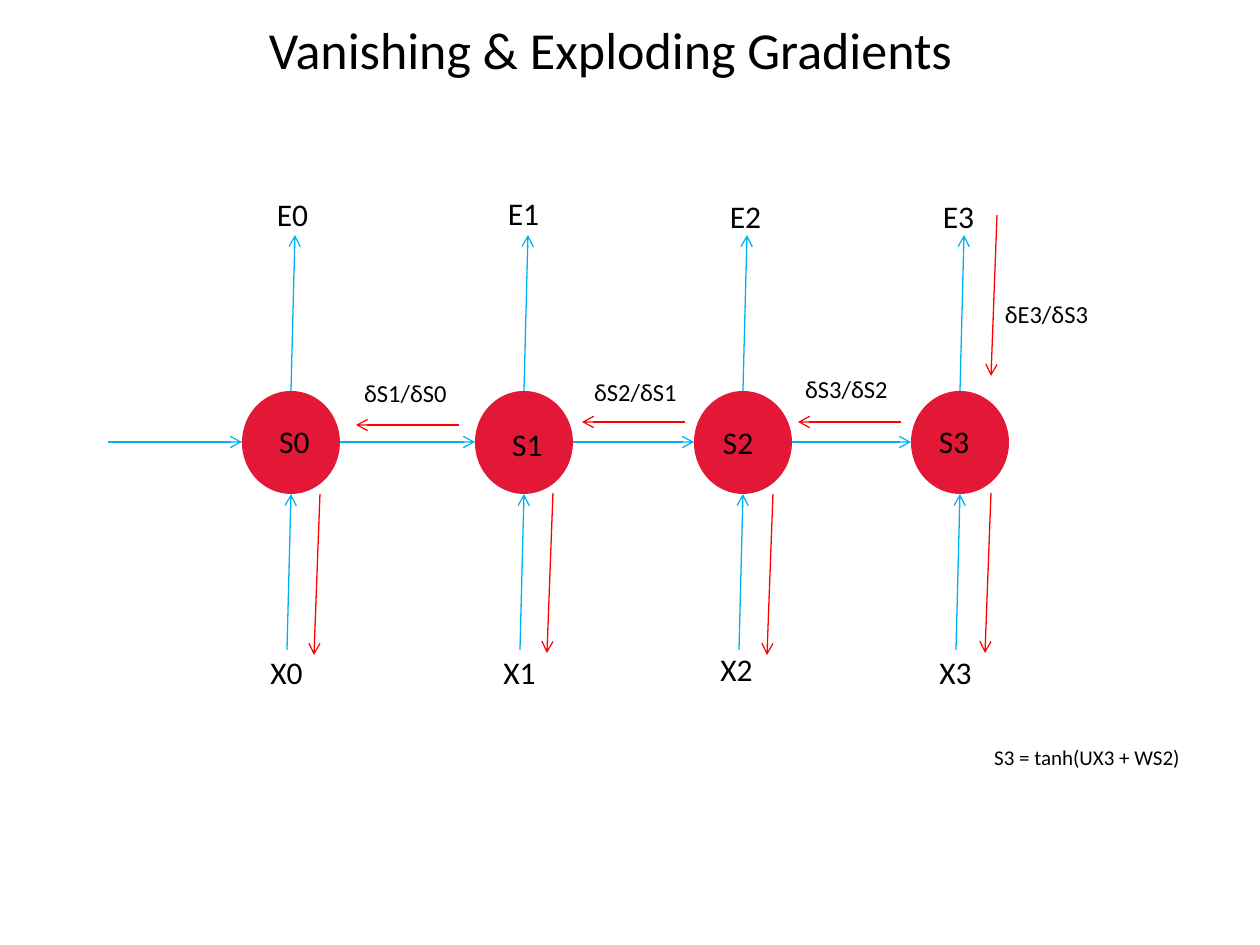
"""Build the vanishing and exploding gradients slide."""
from pptx import Presentation
from pptx.dml.color import RGBColor
from pptx.enum.shapes import MSO_CONNECTOR as CONN, MSO_SHAPE as SHAPE
from pptx.enum.text import MSO_ANCHOR as ANCHOR, PP_ALIGN as ALIGN
from pptx.oxml import parse_xml
from pptx.oxml.ns import nsdecls
from pptx.util import Pt

SCALE = 914400 / 126
BLUE, RED, CRIMSON, BLACK = "00B0F0", "FF0000", "E31837", "000000"
rgb = RGBColor.from_string


def add_text(text, x, y, w, h, size, align=ALIGN.CENTER, top=0):
    box = s.shapes.add_textbox(*[round(v * SCALE) for v in (x, y, w, h)])
    tf = box.text_frame
    frame = {"word_wrap": True, "vertical_anchor": ANCHOR.TOP,
             "margin_left": 0, "margin_right": 0, "margin_bottom": 0,
             "margin_top": round(top * SCALE)}
    for name, value in frame.items():
        setattr(tf, name, value)
    p = tf.paragraphs[0]
    p.alignment = align
    r = p.add_run()
    r.text = text
    for name, value in {"name": "Calibri", "size": Pt(size)}.items():
        setattr(r.font, name, value)
    r.font.color.rgb = rgb(BLACK)


def add_arrow(color, x1, y1, x2, y2):
    ends = [round(v * SCALE) for v in (x1, y1, x2, y2)]
    line = s.shapes.add_connector(CONN.STRAIGHT, *ends)
    line.line.color.rgb = rgb(color)
    line.line.width = Pt(0.75)
    ln = line.line._get_or_add_ln()
    ln.append(parse_xml(f'<a:tailEnd {nsdecls("a")} type="arrow"/>'))
    ln.addnext(parse_xml(f'<a:effectLst {nsdecls("a")}/>'))


prs = Presentation()
prs.slide_width, prs.slide_height = round(1260 * SCALE), round(945 * SCALE)
s = prs.slides.add_slide(prs.slide_layouts[6])

add_text("Vanishing & Exploding Gradients", 44, 10, 1134, 68, 29.7, top=8)

centers = [291, 524, 743, 960]
radius, mid, top, bottom = 49, 442, 391, 494
starts = [108] + [cx + radius for cx in centers[:-1]]

for cx, start in zip(centers, starts):
    sp = s.shapes.add_shape(SHAPE.OVAL, *[
        round(v * SCALE) for v in (cx - radius, top, 2 * radius, bottom - top)])
    sp.shadow.inherit = False
    sp.fill.solid()
    sp.fill.fore_color.rgb = rgb(CRIMSON)
    sp.line.fill.background()
    add_arrow(BLUE, start, mid, cx - radius, mid)
    add_arrow(BLUE, cx - 4, 650, cx, bottom)
    add_arrow(BLUE, cx, top, cx + 4, 235)

labels = {
    "S": (53, [(268, 422), (501, 425), (723, 423), (939, 422)]),
    "X": (79, [(247, 653), (480, 653), (697, 650), (916, 653)]),
    "E": (79, [(253, 195), (484, 194), (706, 197), (919, 197)]),
}
for letter, (width, spots) in labels.items():
    for i, (x, y) in enumerate(spots):
        align = ALIGN.LEFT if letter == "S" and i > 1 else ALIGN.CENTER
        add_text(f"{letter}{i}", x, y, width, 38, 18, align)

for x, y, length in [(997, 215, 161), (991, 493, 160), (773, 494, 161),
                     (553, 493, 160), (320, 494, 161)]:
    add_arrow(RED, x, y, x - 6, y + length)

for x, y in [(901, 422), (685, 422), (459, 425)]:
    add_arrow(RED, x, y, x - 103, y)

for text, x, y in [("δE3/δS3", 996, 299), ("δS3/δS2", 796, 374),
                   ("δS2/δS1", 585, 377), ("δS1/δS0", 355, 378)]:
    add_text(text, x, y, 101, 30, 14)

add_text("S3 = tanh(UX3 + WS2)", 900, 745, 374, 25, 12)

prs.save("out.pptx")
